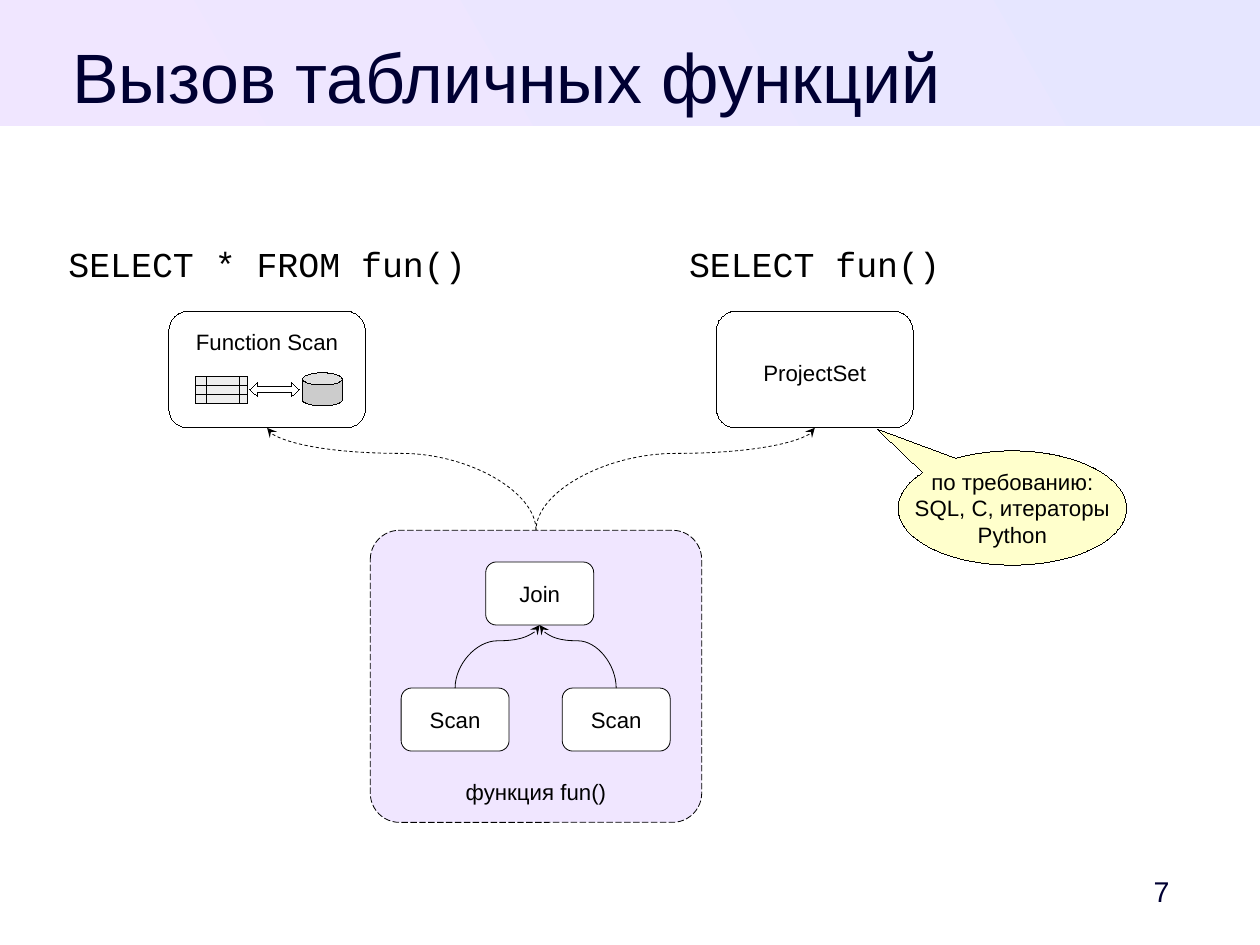
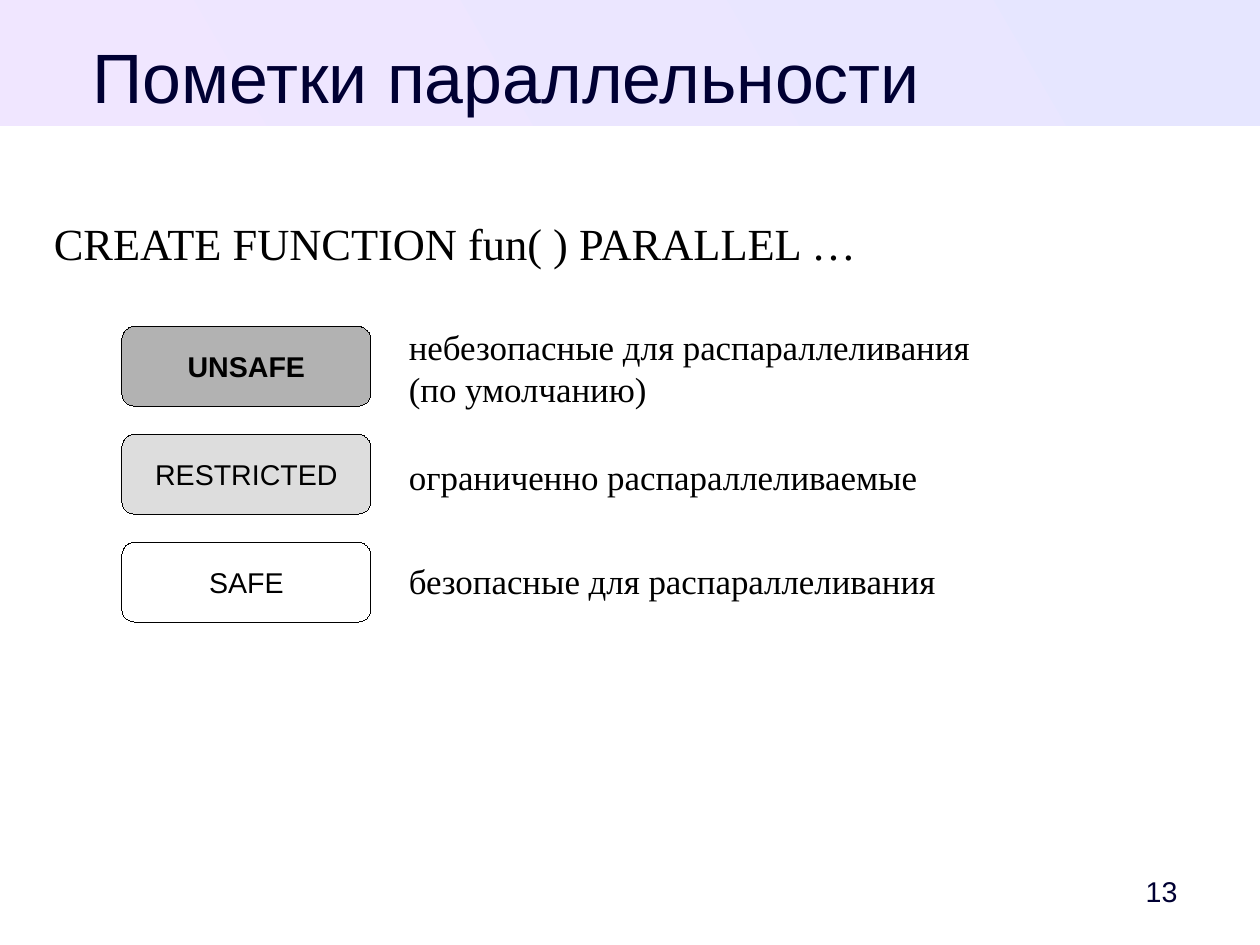
from lxml import etree
from pptx import Presentation
from pptx.dml.color import RGBColor
from pptx.enum.dml import MSO_LINE
from pptx.enum.shapes import MSO_CONNECTOR as LINK, MSO_SHAPE as SHAPE
from pptx.enum.text import MSO_ANCHOR as ANCHOR, PP_ALIGN as ALIGN
from pptx.oxml.ns import qn
from pptx.util import Pt

WIDTH, HEIGHT = 793.75, 595.25
COLORS = {
    "ink": "000033", "black": "000000", "white": "FFFFFF",
    "lilac": "F0E6FF", "periwinkle": "E6E6FF", "note": "FFFFCC",
    "gray": "B2B2B2", "silver": "CCCCCC", "light": "DDDDDD", "pale": "EEEEEE",
}
SANS, SERIF, MONO = "Arial", "Times New Roman", "Courier New"
HAIRLINE, THIN = 0.01, 0.5
INSETS = (7.2, 3.6, 7.2, 3.6)
FLAT = (0, 0, 0, 0)

# Content: boxes are (left, top, width, height)
CALLS_TITLE, CALLS_NUMBER = "Вызов табличных функций", "7"
QUERIES = [("SELECT * FROM fun()", (36, 149.4, 270, 32)),
           ("SELECT fun()", (427, 149.4, 180, 32))]
FUNCTION_SCAN = (106.3, 196, 124, 73.5)
PROJECT_SET = (451.3, 196, 124, 73.5)
FUNCTION_BODY = (233.3, 334, 208.8, 184)
JOIN = (306, 354, 68, 39.7)
SCANS = [(252.7, 433.4, 68, 39.7), (354.2, 433.4, 68, 39.7)]
ICON_TABLE = (123, 236.9, 33, 17.3)
ICON_ARROW = (157.5, 241, 31, 8.6)
ICON_DISK = (190.5, 234.8, 25.2, 20.9)
CALLOUT = (565.8, 284, 144, 72)
CALLOUT_TEXT = "по требованию:\nSQL, C, итераторы\nPython"

MARKS_TITLE, MARKS_NUMBER = "Пометки параллельности", "13"
STATEMENT = "CREATE FUNCTION fun( ) PARALLEL …"
MARKS = [  # label, fill, bold, description, description top
    ("UNSAFE", "gray", True,
     "небезопасные для распараллеливания\v(по умолчанию)", 201.6),
    ("RESTRICTED", "light", False, "ограниченно распараллеливаемые", 283.4),
    ("SAFE", "white", False, "безопасные для распараллеливания", 348.9),
]
MARK_LEFT, MARK_TOP, MARK_WIDTH, MARK_HEIGHT, MARK_PITCH = 76.7, 205.5, 157, 50.4, 68


def rgb(name):
    return RGBColor.from_string(COLORS[name])


def points(values):
    return [Pt(value) for value in values]


# Text and shape helpers
def write(shape, text, size, font=SANS, color="black", align=ALIGN.CENTER,
          anchor=ANCHOR.MIDDLE, insets=INSETS, bold=False, wrap=False):
    frame = shape.text_frame
    frame.word_wrap = wrap
    frame.vertical_anchor = anchor
    (frame.margin_left, frame.margin_top,
     frame.margin_right, frame.margin_bottom) = points(insets)
    frame.text = text
    for para in frame.paragraphs:
        para.alignment = align
        for span in para.runs:
            span.font.name, span.font.size = font, Pt(size)
            span.font.bold = bold
            span.font.color.rgb = rgb(color)


def add_text(page, box, text, size, font=SANS, align=ALIGN.LEFT,
             anchor=ANCHOR.TOP, **style):
    label = page.shapes.add_textbox(*points(box))
    write(label, text, size, font, align=align, anchor=anchor, wrap=True, **style)


def style_line(shape, width):
    shape.line.color.rgb = rgb("black")
    shape.line.width = Pt(width)


def add_block(parent, kind, box, fill, width=HAIRLINE, adjust=()):
    shape = parent.shapes.add_shape(kind, *points(box))
    shape.shadow.inherit = False
    shape.fill.solid()
    shape.fill.fore_color.rgb = rgb(fill)
    style_line(shape, width)
    for index, value in enumerate(adjust):
        shape.adjustments[index] = value
    return shape


def add_node(page, box, text, width=THIN, **style):
    write(add_block(page, SHAPE.ROUNDED_RECTANGLE, box, "white", width),
          text, 14, **style)


def add_link(parent, kind, start, end, width):
    link = parent.shapes.add_connector(kind, *points(start + end))
    style_line(link, width)
    etree.SubElement(link._element.spPr, qn("a:effectLst"))
    return link


def bottom_of(box):
    left, top, width, height = box
    return left + width / 2, top + height


def top_of(box):
    return box[0] + box[2] / 2, box[1]


def add_curve(page, upper, lower, dashed=False):
    """Curve with vertical ends: a turned connector, arrowhead at the upper box."""
    (x1, y1), (x2, y2) = bottom_of(upper), top_of(lower)
    center_x, center_y = (x1 + x2) / 2, (y1 + y2) / 2
    half_run, half_rise = (y2 - y1) / 2, abs(x2 - x1) / 2
    link = add_link(page, LINK.CURVE,
                    (center_x - half_run, center_y - half_rise),
                    (center_x + half_run, center_y + half_rise), THIN)
    properties = link._element.spPr
    frame = properties.find(qn("a:xfrm"))
    frame.set("rot", str((90 if x2 < x1 else 270) * 60000))
    if x2 > x1:
        frame.set("flipH", "1")
    guides = properties.find(qn("a:prstGeom")).get_or_add_avLst()
    etree.SubElement(guides, qn("a:gd"), name="adj1", fmla="val 25000")
    if dashed:
        link.line.dash_style = MSO_LINE.DASH
    etree.SubElement(properties.find(qn("a:ln")), qn("a:headEnd"), type="stealth")


# Shared band, title and page number
def new_page(deck, title, number):
    page = deck.slides.add_slide(deck.slide_layouts[6])
    band = add_block(page, SHAPE.RECTANGLE, (0, 0, WIDTH, 79.2), "lilac")
    band.line.fill.background()
    band.fill.gradient()
    band.fill.gradient_angle = 210
    for stop, color in zip(band.fill.gradient_stops, ("periwinkle", "lilac")):
        stop.color.rgb = rgb(color)
    add_text(page, (33.8, 21, 571, 51), title, 44, color="ink",
             align=ALIGN.CENTER, insets=FLAT)
    add_text(page, (697.7, 544.2, 68, 34), number, 18, color="ink",
             align=ALIGN.CENTER, anchor=ANCHOR.MIDDLE)
    return page


def add_table_icon(page):
    left, top, width, height = ICON_TABLE
    icon = page.shapes.add_group_shape()
    add_block(icon, SHAPE.RECTANGLE, ICON_TABLE, "pale")
    for part in (1 / 3, 2 / 3):
        y = top + height * part
        add_link(icon, LINK.STRAIGHT, (left, y), (left + width, y), HAIRLINE)
    for x in (left + 7.2, left + 28.2):
        add_link(icon, LINK.STRAIGHT, (x, top), (x, top + height), HAIRLINE)


def build_calls(deck):
    page = new_page(deck, CALLS_TITLE, CALLS_NUMBER)
    for query, box in QUERIES:
        add_text(page, box, query, 22, MONO)

    # Plan nodes
    high_insets = (7.2, 7.2, 7.2, 3.6)
    add_node(page, FUNCTION_SCAN, "Function Scan", HAIRLINE,
             anchor=ANCHOR.TOP, insets=high_insets)
    add_node(page, PROJECT_SET, "ProjectSet", HAIRLINE, insets=high_insets)
    add_table_icon(page)
    add_block(page, SHAPE.LEFT_RIGHT_ARROW, ICON_ARROW, "white", adjust=(0.46, 0.55))
    add_block(page, SHAPE.CAN, ICON_DISK, "silver", adjust=(0.37,))

    # Function body
    body = add_block(page, SHAPE.ROUNDED_RECTANGLE, FUNCTION_BODY, "lilac",
                     THIN, (0.1,))
    body.line.dash_style = MSO_LINE.LONG_DASH
    write(body, "функция fun()", 14, anchor=ANCHOR.BOTTOM,
          insets=(7.2, 3.6, 7.2, 5.8))
    add_node(page, JOIN, "Join")
    for scan in SCANS:
        add_node(page, scan, "Scan")
        add_curve(page, JOIN, scan)
    for caller in (FUNCTION_SCAN, PROJECT_SET):
        add_curve(page, caller, FUNCTION_BODY, dashed=True)

    callout = add_block(page, SHAPE.OVAL_CALLOUT, CALLOUT, "note",
                        adjust=(-0.59, -0.69))
    write(callout, CALLOUT_TEXT, 14)


def build_marks(deck):
    page = new_page(deck, MARKS_TITLE, MARKS_NUMBER)
    add_text(page, (34, 136, 726, 51), STATEMENT, 28, SERIF, insets=FLAT)
    for row, (label, fill, bold, description, top) in enumerate(MARKS):
        box = (MARK_LEFT, MARK_TOP + row * MARK_PITCH, MARK_WIDTH, MARK_HEIGHT)
        mark = add_block(page, SHAPE.ROUNDED_RECTANGLE, box, fill)
        write(mark, label, 18, bold=bold)
        add_text(page, (250.5, top, 490, 32), description, 22, SERIF)


def main():
    deck = Presentation()
    deck.slide_width, deck.slide_height = Pt(WIDTH), Pt(HEIGHT)
    build_calls(deck)
    build_marks(deck)
    deck.save("out.pptx")


if __name__ == "__main__":
    main()
